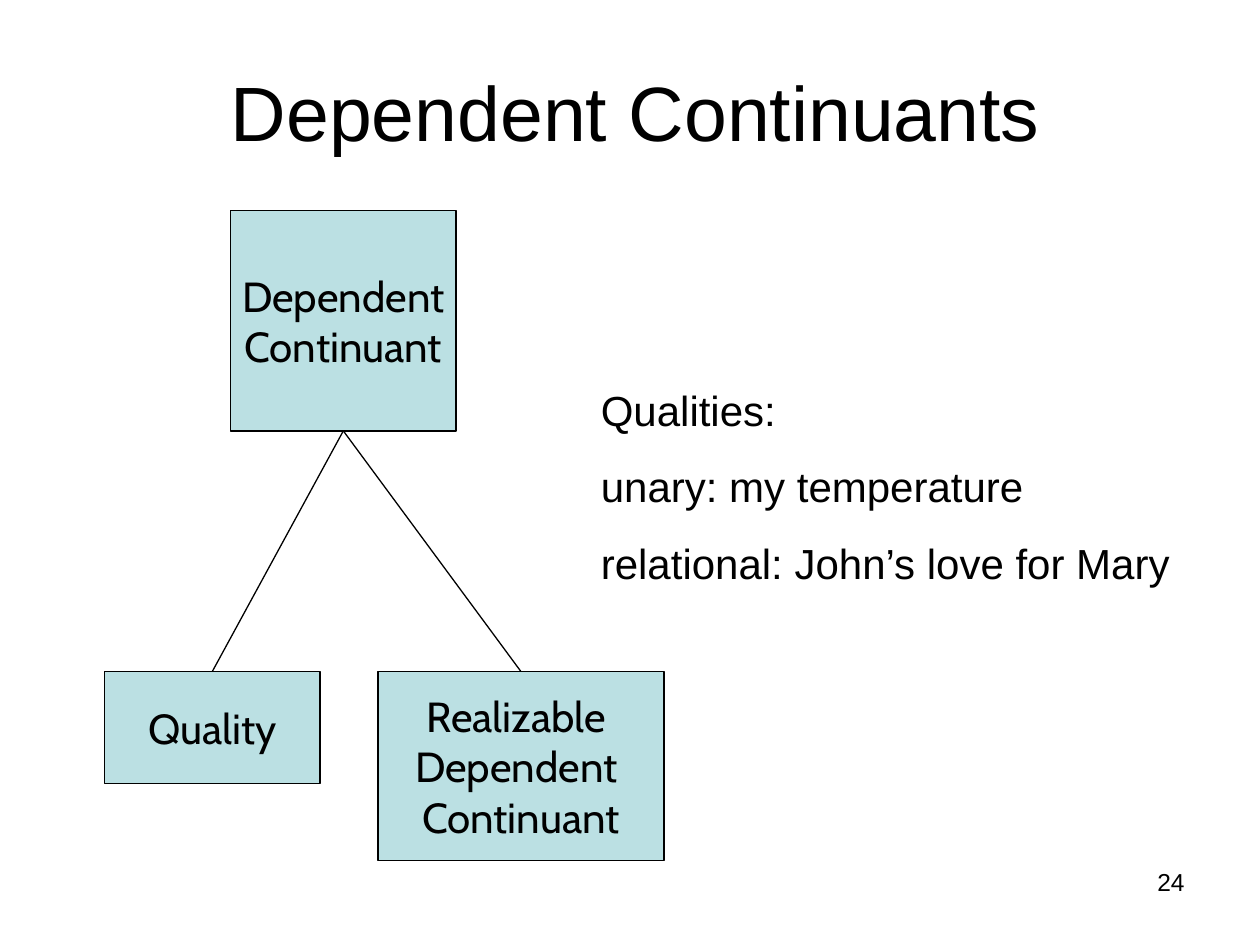
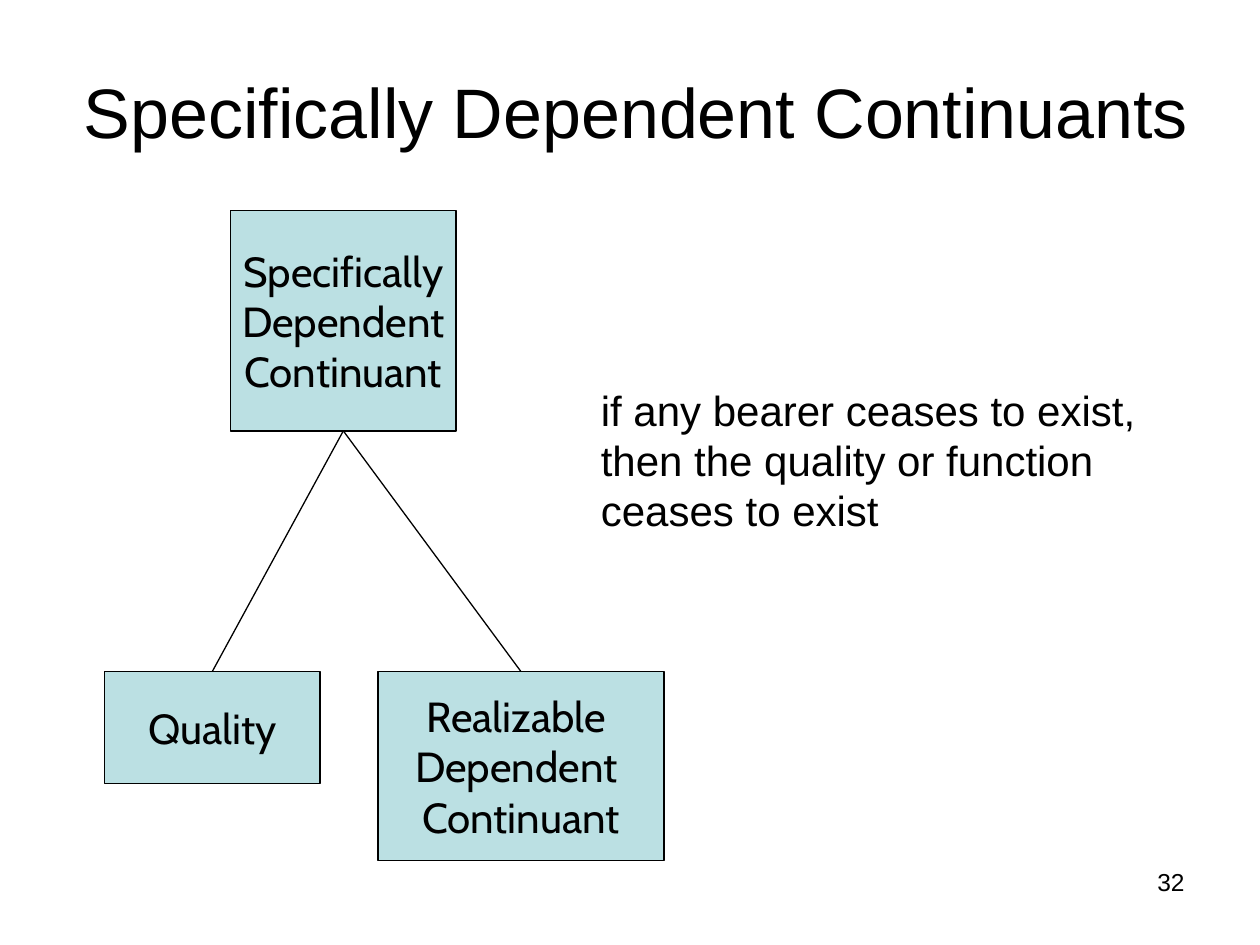
from lxml.etree import SubElement
from pptx import Presentation
from pptx.dml.color import RGBColor
from pptx.enum.shapes import MSO_CONNECTOR, MSO_SHAPE
from pptx.enum.text import MSO_ANCHOR, MSO_AUTO_SIZE, PP_ALIGN
from pptx.oxml.ns import qn
from pptx.util import Inches, Pt

SLIDES = [
    {
        "title": "Dependent Continuants",
        "title_size": 44,
        "parent": ["Dependent", "Continuant"],
        "notes": ["Qualities:", "unary: my temperature",
                  "relational: John’s love for Mary"],
        "notes_height": 1.72,
        "number": "24",
    },
    {
        "title": "Specifically Dependent Continuants",
        "title_size": 40,
        "parent": ["Specifically", "Dependent", "Continuant"],
        "notes": ["if any bearer ceases to exist, then the quality "
                  "or function ceases to exist"],
        "notes_height": 1.3,
        "number": "32",
    },
]
CHILDREN = [
    (["Quality"], (0.83, 5.33, 1.71, 0.89)),
    (["Realizable ", "Dependent ", "Continuant"], (3, 5.33, 2.27, 1.5)),
]

WIDTH, HEIGHT = 10, 7.5
TITLE_AT = (0.42, 0.25, 9.25, 1.25)
PARENT_AT = (1.83, 1.67, 1.79, 1.75)
NOTES_LEFT, NOTES_TOP, NOTES_WIDTH = 4.67, 3, 4.75
NUMBER_AT = (7.17, 6.83, 2.33, 0.52)

INK, NODE_FILL = "000000", "BBE0E3"
TEXT_FONT, NODE_FONT = "Arial", "Cabin"
LINE_WIDTH = 0.75
TOP_SITE, BOTTOM_SITE = 0, 2  # connection sites of a rectangle


def rgb(value):
    return RGBColor.from_string(value)


def inches(box):
    return [Inches(v) for v in box]


def write(tf, lines, size, font=TEXT_FONT, align=PP_ALIGN.LEFT, gap=0):
    """Fill a text frame, one paragraph a line, with gap points between them."""
    for i, line in enumerate(lines):
        p = tf.add_paragraph() if i else tf.paragraphs[0]
        p.alignment = align
        p.space_before = Pt(gap if i else 0)
        r = p.add_run()
        r.text = line
        r.font.size = Pt(size)
        r.font.name = font
        r.font.color.rgb = rgb(INK)


def outline(line):
    line.color.rgb = rgb(INK)
    line.width = Pt(LINE_WIDTH)


def add_title(s, text, size):
    sp = s.shapes.title
    sp.left, sp.top, sp.width, sp.height = inches(TITLE_AT)
    tf = sp.text_frame
    tf.auto_size = MSO_AUTO_SIZE.NONE
    tf.vertical_anchor = MSO_ANCHOR.MIDDLE
    write(tf, [text], size, align=PP_ALIGN.CENTER)


def add_node(s, lines, box):
    sp = s.shapes.add_shape(MSO_SHAPE.RECTANGLE, *inches(box))
    sp.shadow.inherit = False
    sp.fill.solid()
    sp.fill.fore_color.rgb = rgb(NODE_FILL)
    outline(sp.line)
    tf = sp.text_frame
    tf.word_wrap = False
    tf.vertical_anchor = MSO_ANCHOR.MIDDLE
    write(tf, lines, 24, NODE_FONT, PP_ALIGN.CENTER)
    return sp


def add_branch(s, parent, child):
    branch = s.shapes.add_connector(MSO_CONNECTOR.STRAIGHT, 0, 0, 0, 0)
    branch.begin_connect(parent, BOTTOM_SITE)
    branch.end_connect(child, TOP_SITE)
    outline(branch.line)
    SubElement(branch._element.spPr, qn("a:effectLst"))


def add_text(s, box, lines, size, **style):
    tf = s.shapes.add_textbox(*inches(box)).text_frame
    tf.word_wrap = True
    write(tf, lines, size, **style)


def build_slide(prs, content):
    s = prs.slides.add_slide(prs.slide_layouts[5])
    add_title(s, content["title"], content["title_size"])
    parent = add_node(s, content["parent"], PARENT_AT)
    children = [add_node(s, lines, box) for lines, box in CHILDREN]
    for child in children:
        add_branch(s, parent, child)
    notes_at = (NOTES_LEFT, NOTES_TOP, NOTES_WIDTH, content["notes_height"])
    add_text(s, notes_at, content["notes"], 24, gap=15)
    add_text(s, NUMBER_AT, [content["number"]], 14, align=PP_ALIGN.RIGHT)


def main():
    prs = Presentation()
    prs.slide_width, prs.slide_height = inches((WIDTH, HEIGHT))
    for content in SLIDES:
        build_slide(prs, content)
    prs.save("out.pptx")


if __name__ == "__main__":
    main()
